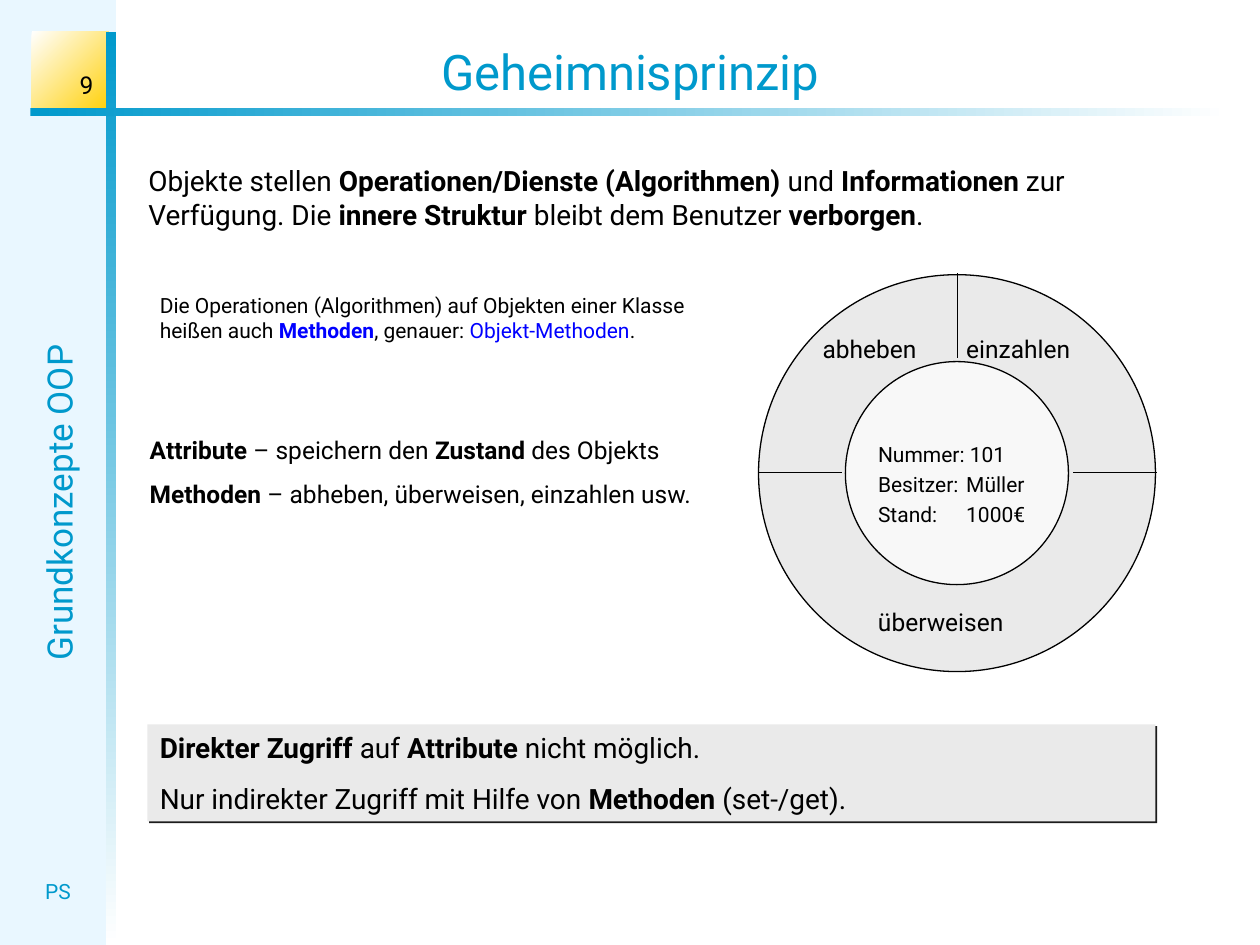
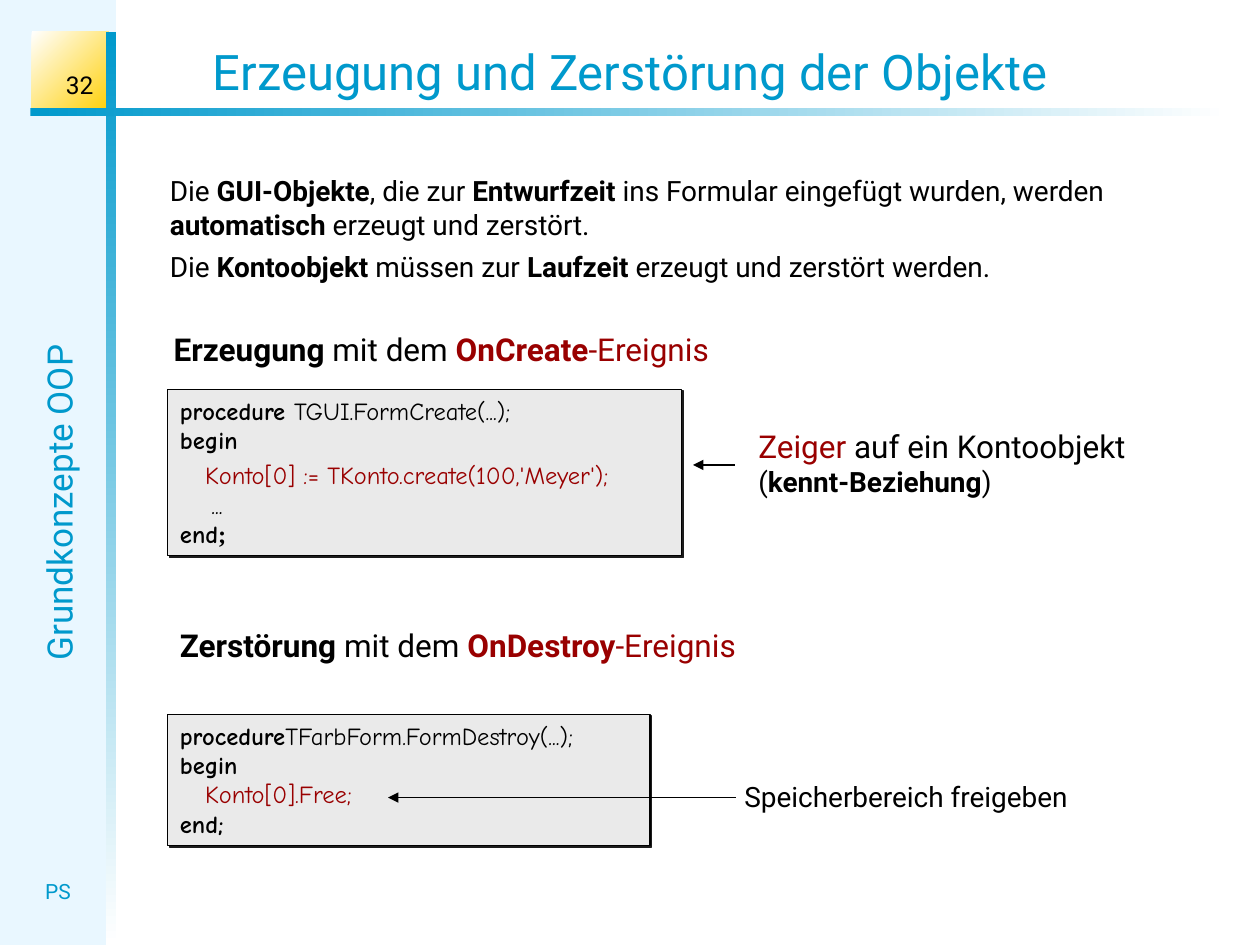
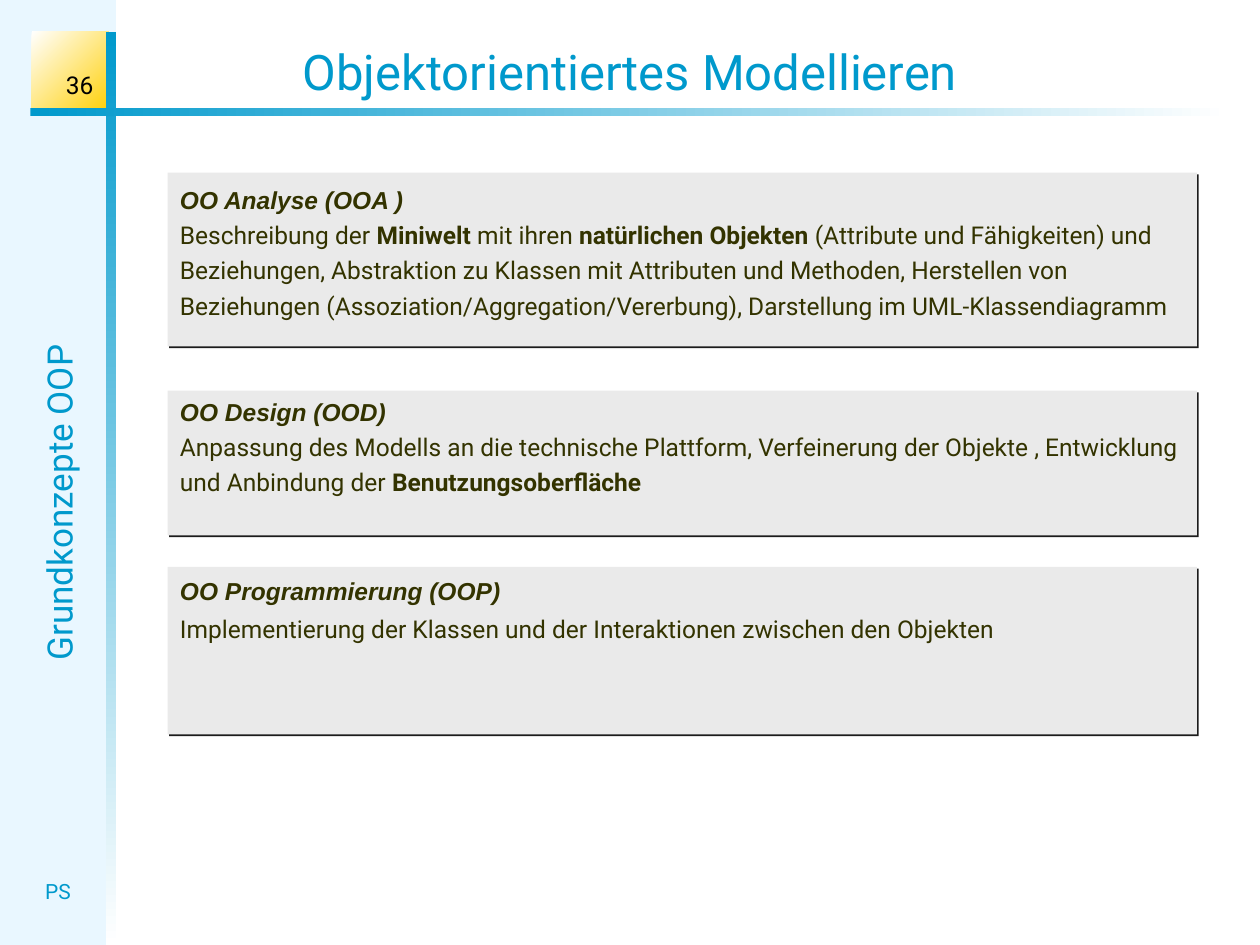
from dataclasses import dataclass

from lxml.etree import SubElement
from pptx import Presentation
from pptx.dml.color import RGBColor
from pptx.enum.shapes import MSO_CONNECTOR, MSO_SHAPE
from pptx.enum.text import MSO_ANCHOR, MSO_AUTO_SIZE, PP_ALIGN
from pptx.oxml.ns import qn
from pptx.util import Inches, Pt


@dataclass(frozen=True)
class Theme:
    blue: str = "0099CC"
    pale: str = "E9F7FF"
    yellow: str = "FFCF01"
    white: str = "FFFFFF"
    black: str = "000000"
    grey: str = "EAEAEA"
    core: str = "F8F8F8"
    shadow: str = "1C1C1C"
    red: str = "990000"
    link: str = "0000FF"
    olive: str = "333300"
    font: str = "Roboto"
    code: str = "Comic Neue"
    serif: str = "Times New Roman"
    heading: str = "Arial"
    title: int = 28
    side: int = 20
    large: int = 18
    body: int = 16
    text: int = 14
    small: int = 12
    hairline: float = 0.75


T = Theme()
BOLD = {"bold": True}
RED = {"color": T.red}


def add_box(s, x, y, w, h, fill=None, line=False, shadow=False,
            shape=MSO_SHAPE.RECTANGLE, anchor=MSO_ANCHOR.TOP):
    """Add a text box, or a preset shape when a fill is given."""
    place = [Inches(v) for v in (x, y, w, h)]
    if fill:
        sp = s.shapes.add_shape(shape, *place)
        sp.fill.solid()
        sp.fill.fore_color.rgb = RGBColor.from_string(fill)
        if line:
            sp.line.color.rgb = RGBColor.from_string(T.black)
            sp.line.width = Pt(T.hairline)
        else:
            sp.line.fill.background()
        sp.shadow.inherit = False
        if shadow:
            effects = sp.element.spPr.find(qn("a:effectLst"))
            outer = SubElement(effects, qn("a:outerShdw"), dist=str(Pt(1.4)),
                               dir="2700000", algn="ctr", rotWithShape="0")
            SubElement(outer, qn("a:srgbClr"), val=T.shadow)
    else:
        sp = s.shapes.add_textbox(*place)
    sp.text_frame.word_wrap = True
    sp.text_frame.vertical_anchor = anchor
    return sp


def add_text(tf, size, runs, before=0, line=None, align=PP_ALIGN.LEFT,
             indent=0, tab=None, color=T.black, font=T.font):
    """Add one paragraph; a run is a string or a (string, overrides) pair."""
    p = tf.add_paragraph() if tf.text else tf.paragraphs[0]
    p.alignment = align
    p.space_before = Pt(before)
    if line:
        p.line_spacing = line
    props = p._p.get_or_add_pPr()
    if indent:
        props.set("marL", str(Inches(indent)))
    if tab:
        tabs = SubElement(props, qn("a:tabLst"))
        SubElement(tabs, qn("a:tab"), pos=str(Inches(tab)), algn="l")
    for run in runs:
        text, own = (run, {}) if isinstance(run, str) else run
        r = p.add_run()
        r.text = text
        r.font.size = Pt(size)
        r.font.name = own.get("font", font)
        r.font.bold = own.get("bold", False)
        r.font.italic = own.get("italic", False)
        r.font.color.rgb = RGBColor.from_string(own.get("color", color))


prs = Presentation()
prs.slide_width, prs.slide_height = Inches(10), Inches(7.5)

# Layout: title position and the frame shared by all slides
layout = prs.slide_layouts[5]
for ph in list(layout.placeholders):
    if ph.placeholder_format.idx:
        ph.element.getparent().remove(ph.element)
title = layout.placeholders[0]
title.left, title.top, title.width, title.height = (
    Inches(v) for v in (0, 0.28, 10, 0.57))
title.text_frame.vertical_anchor = MSO_ANCHOR.BOTTOM
title.text_frame.auto_size = MSO_AUTO_SIZE.NONE

slides = []
for number, heading in [(9, "Geheimnisprinzip"),
                        (32, "Erzeugung und Zerstörung der Objekte"),
                        (36, "Objektorientiertes Modellieren")]:
    s = prs.slides.add_slide(layout)
    add_text(s.shapes.title.text_frame, T.title, [heading],
             align=PP_ALIGN.CENTER, color=T.blue)
    slides.append(s)
hiding, lifetime, modelling = slides

frame = [add_box(hiding, 0, 0, 0.92, 7.5, T.pale)]
for place, start, end, angle in [
        ((0.25, 0.25, 0.61, 0.67), T.white, T.yellow, 315),
        ((0.84, 0.25, 0.08, 7.25), T.blue, T.white, 270),
        ((0.24, 0.86, 9.51, 0.06), T.blue, T.white, 0)]:
    sp = add_box(hiding, *place, T.white)
    sp.fill.gradient()
    sp.fill.gradient_angle = angle
    for stop, color in zip(sp.fill.gradient_stops, (start, end)):
        stop.color.rgb = RGBColor.from_string(color)
    frame.append(sp)
for place, turn, size, label in [
        ((-2.46, 3.77, 5.86, 0.44), 270, T.side, "Grundkonzepte OOP"),
        ((0.17, 6.92, 0.58, 0.3), 0, T.small, "PS")]:
    sp = add_box(hiding, *place)
    sp.rotation = turn
    add_text(sp.text_frame, size, [label], align=PP_ALIGN.CENTER, color=T.blue)
    frame.append(sp)
for position, sp in enumerate(frame, start=2):
    layout.shapes.element.insert(position, sp.element)

for s, number in zip(slides, ("9", "32", "36")):
    sp = add_box(s, 0.08, 0.42, 0.76, 0.42, anchor=MSO_ANCHOR.BOTTOM)
    add_text(sp.text_frame, T.text, [number], align=PP_ALIGN.RIGHT)

# Slide 1: information hiding
tf = add_box(hiding, 1.08, 1.25, 8, 0.64).text_frame
add_text(tf, T.body, [
    "Objekte stellen ", ("Operationen/Dienste (Algorithmen)", BOLD), " und ",
    ("Informationen", BOLD), " zur Verfügung. Die ", ("innere Struktur", BOLD),
    " bleibt dem Benutzer ", ("verborgen", BOLD), "."])

tf = add_box(hiding, 1.17, 2.17, 4.61, 0.7, anchor=MSO_ANCHOR.MIDDLE).text_frame
add_text(tf, T.small, [
    "Die Operationen (Algorithmen) auf Objekten einer Klasse heißen auch ",
    ("Methoden", {"bold": True, "color": T.link}), ", genauer: ",
    ("Objekt-Methoden", {"color": T.link}), "."])

tf = add_box(hiding, 1.09, 3.4, 4.83, 0.69).text_frame
add_text(tf, T.text, [("Attribute", BOLD), " – speichern den ",
                      ("Zustand", BOLD), " des Objekts"])
add_text(tf, T.text, [("Methoden", BOLD),
                      " – abheben, überweisen, einzahlen usw."], before=8.8)

add_box(hiding, 6.02, 2.18, 3.15, 3.15, T.grey, line=True, shape=MSO_SHAPE.OVAL)
for x, y, method in [(6.43, 2.6, "abheben"), (7.57, 2.6, "einzahlen"),
                     (6.87, 4.77, "überweisen")]:
    tf = add_box(hiding, x, y, 1.3, 0.34).text_frame
    add_text(tf, T.text, [method])

core = add_box(hiding, 6.71, 2.87, 1.77, 1.77, T.core, line=True,
               shape=MSO_SHAPE.OVAL, anchor=MSO_ANCHOR.MIDDLE)
tf = core.text_frame
tf.margin_left = tf.margin_right = tf.margin_bottom = 0
tf.margin_top = Inches(0.14)
for attribute in ("Nummer: 101", "Besitzer:\tMüller", "Stand:\t1000€"):
    add_text(tf, T.small, [attribute], line=1.2, tab=0.7)

tf = add_box(hiding, 1.17, 5.75, 8, 0.77, T.grey, shadow=True).text_frame
add_text(tf, T.body, [("Direkter Zugriff", BOLD), " auf ", ("Attribute", BOLD),
                      " nicht möglich."])
add_text(tf, T.body, ["Nur indirekter Zugriff mit Hilfe von ",
                      ("Methoden", BOLD), " (set-/get)."], before=10)

# Slide 2: creating and destroying objects
tf = add_box(lifetime, 1.25, 1.33, 8.33, 0.93).text_frame
add_text(tf, T.body, [
    "Die ", ("GUI-Objekte", BOLD), ", die zur ", ("Entwurfzeit", BOLD),
    " ins Formular eingefügt wurden, werden ", ("automatisch", BOLD),
    " erzeugt und zerstört."])
add_text(tf, T.body, [
    "Die ", ("Kontoobjekt", BOLD), " müssen zur ", ("Laufzeit", BOLD),
    " erzeugt und zerstört werden."], before=4.7)

for x, y, action, event in [(1.28, 2.57, "Erzeugung", "OnCreate"),
                            (1.33, 4.92, "Zerstörung", "OnDestroy")]:
    tf = add_box(lifetime, x, y, 5.75, 0.4).text_frame
    add_text(tf, T.large, [(action, BOLD), " mit dem ",
                           (event, {"bold": True, "color": T.red}),
                           ("-Ereignis", RED)])

create_code = [
    ([("procedure ", BOLD), "TGUI.FormCreate(...);"], {}),
    ([("begin", BOLD)], {}),
    ([("Konto[0] := TKonto.create(100,'Meyer');", RED)],
     {"indent": 0.2, "line": 1.2}),
    (["..."], {"indent": 0.25}),
    ([("end", BOLD), (";", {"bold": True, "font": T.serif})], {}),
]
destroy_code = [
    ([("procedure", BOLD), "TFarbForm.FormDestroy(...);"], {}),
    ([("begin", BOLD)], {}),
    ([("Konto[0].Free;", RED)], {"indent": 0.2}),
    ([("end;", BOLD)], {}),
]
for place, code in [((1.33, 3.09, 4.08, 1.32), create_code),
                    ((1.33, 5.67, 3.83, 1.04), destroy_code)]:
    tf = add_box(lifetime, *place, T.grey, line=True, shadow=True).text_frame
    for runs, layout_options in code:
        add_text(tf, T.text, runs, font=T.code, **layout_options)

tf = add_box(lifetime, 5.92, 3.34, 3.39, 0.7).text_frame
add_text(tf, T.large, [("Zeiger", RED), " auf ein Kontoobjekt"])
add_text(tf, T.body, ["(", ("kennt-Beziehung", BOLD), ")"])
tf = add_box(lifetime, 5.81, 6.14, 2.94, 0.37).text_frame
add_text(tf, T.body, ["Speicherbereich freigeben"])

# Slide 3: the three phases
phases = [
    (1.37, 1.38, "OO Analyse (OOA )", 1.2, 1.2, [
        "Beschreibung der ", ("Miniwelt", BOLD), " mit ihren ",
        ("natürlichen Objekten", BOLD),
        " (Attribute und Fähigkeiten) und Beziehungen, Abstraktion zu Klassen "
        "mit Attributen und Methoden, Herstellen von Beziehungen "
        "(Assoziation/Aggregation/Vererbung), Darstellung im "
        "UML-Klassendiagramm"]),
    (3.1, 1.15, "OO Design (OOD)", 1.0, 1.2, [
        "Anpassung des Modells an die technische Plattform, Verfeinerung der "
        "Objekte , Entwicklung und Anbindung der ",
        ("Benutzungsoberfläche", BOLD)]),
    (4.5, 1.33, "OO Programmierung (OOP)", 1.1, 1.3, [
        "Implementierung der Klassen und der Interaktionen zwischen den "
        "Objekten"]),
]
for y, height, phase, head_line, body_line, runs in phases:
    tf = add_box(modelling, 1.33, y, 8.17, height, T.grey, shadow=True).text_frame
    add_text(tf, T.text, [(phase, {"bold": True, "italic": True})],
             line=head_line, color=T.olive, font=T.heading)
    add_text(tf, T.text, runs, line=body_line, color=T.olive)

# Dividers of the object ring and arrows to the code
for s, x1, y1, x2, y2, arrow in [
        (hiding, 6.02, 3.75, 6.68, 3.75, False),
        (hiding, 8.52, 3.75, 9.18, 3.75, False),
        (hiding, 7.6, 2.84, 7.6, 2.17, False),
        (lifetime, 5.5, 3.69, 5.83, 3.69, True),
        (lifetime, 3.08, 6.33, 5.84, 6.33, True)]:
    line = s.shapes.add_connector(MSO_CONNECTOR.STRAIGHT, Inches(x1), Inches(y1),
                                  Inches(x2), Inches(y2))
    line.line.color.rgb = RGBColor.from_string(T.black)
    line.line.width = Pt(T.hairline)
    if arrow:
        SubElement(line.line._get_or_add_ln(), qn("a:headEnd"), type="triangle")
    SubElement(line.element.spPr, qn("a:effectLst"))

prs.save("out.pptx")
